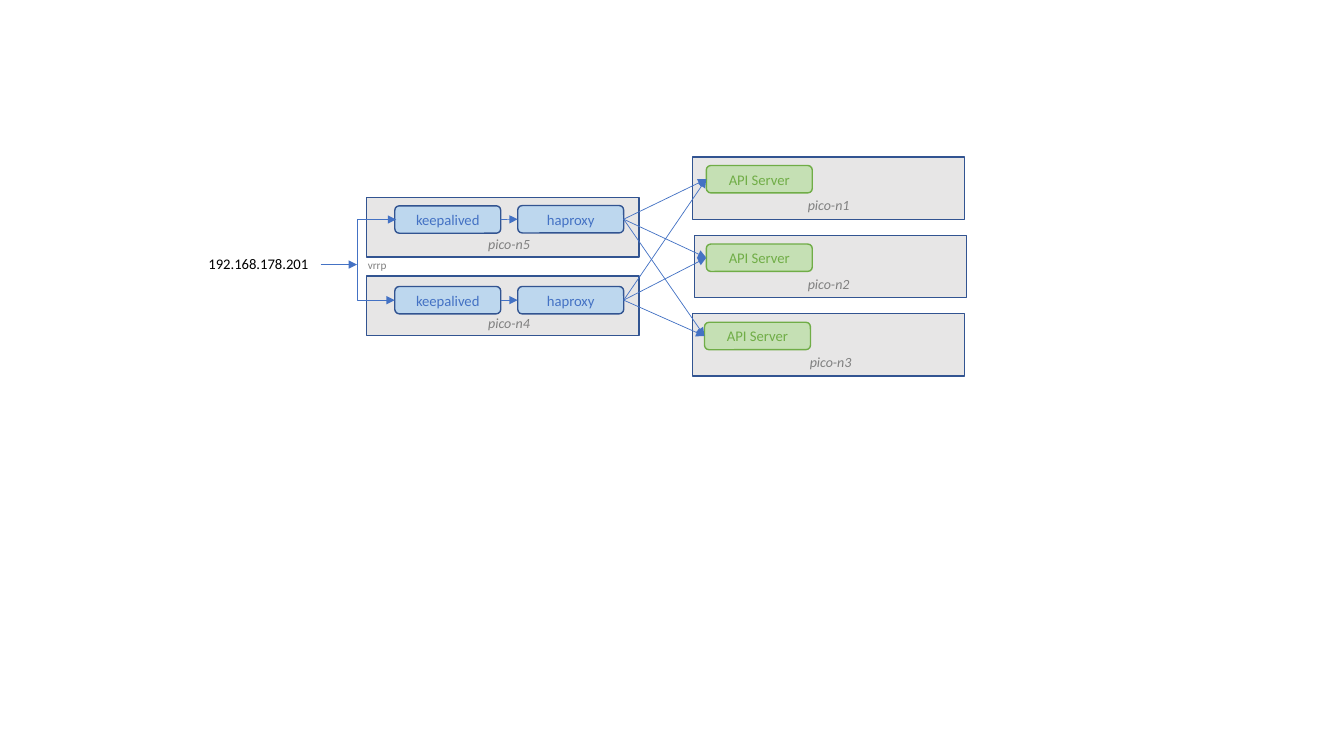
from pptx import Presentation, util as u
from pptx.dml.color import RGBColor
from pptx.enum import shapes as s, text as t
from pptx.oxml.ns import qn
from lxml import etree

THEME = dict(
    font="Calibri", panel="E7E6E6", edge="325491", wire="4472C4",
    blue=dict(fill="BDD7EE", line="325491", ink="4472C4"),
    green=dict(fill="C5E0B4", line="70AD47", ink="70AD47"),
    black="000000", gray="808080",
    pill=10.5, node=10, note=8, rim=1, thin=0.5)

PROXIES = [
    dict(name="pico-n5", box=(262, 141.2, 194.5, 42.5), tag=(335.5, 164.2),
         pills=[("keepalived", 282, 147), ("haproxy", 369.8, 146.8)]),
    dict(name="pico-n4", box=(262, 197.2, 194.5, 42.5), tag=(335.5, 221.2),
         pills=[("keepalived", 282, 204.6), ("haproxy", 369.8, 204.6)])]
SERVERS = [
    dict(name="pico-n1", box=(494.6, 112.2, 194.5, 44.6), tag=(563.8, 136.8),
         pills=[("API Server", 504.5, 118.2)]),
    dict(name="pico-n2", box=(496, 168, 194.5, 44.6), tag=(563.8, 193),
         pills=[("API Server", 504.5, 174.3)]),
    dict(name="pico-n3", box=(494.6, 223.9, 194.5, 44.6), tag=(565.2, 248.7),
         pills=[("API Server", 503.2, 230.2)])]
NOTES = [
    ("vrrp", (255.6, 180.7, 32.4, 17.3), "note", "gray"),
    ("192.168.178.201", (141.8, 178.6, 87.1, 20.9), "pill", "black")]
PILL = (75.7, 19.6)
TAG = (56.2, 19.4)
TRUNK = 255
ENTRY = (229, 189, TRUNK, 189)

LEFT, RIGHT = 1, 3

deck = Presentation()
deck.slide_width, deck.slide_height = u.Pt(960), u.Pt(540)
slide = deck.slides.add_slide(deck.slide_layouts[6])
parts = slide.shapes


def pts(vals):
    return [u.Pt(v) for v in vals]


def hue(code):
    return RGBColor.from_string(code)


def write(shape, words, size, ink, align, **frame):
    box = shape.text_frame
    for key, val in frame.items():
        setattr(box, key, val)
    para = box.paragraphs[0]
    para.alignment = align
    run = para.add_run()
    run.text = words
    look = dict(name=THEME["font"], size=u.Pt(size), italic=words.startswith("pico"))
    for key, val in look.items():
        setattr(run.font, key, val)
    run.font.color.rgb = hue(ink)


def block(kind, place, fill, line):
    shape = parts.add_shape(kind, *pts(place))
    shape.shadow.inherit = False
    shape.fill.solid()
    shape.fill.fore_color.rgb = hue(fill)
    shape.line.color.rgb = hue(line)
    shape.line.width = u.Pt(THEME["rim"])
    return shape


def label(words, place, size, ink, align, anchor):
    write(parts.add_textbox(*pts(place)), words, size, ink, align,
          word_wrap=False, vertical_anchor=anchor,
          auto_size=t.MSO_AUTO_SIZE.SHAPE_TO_FIT_TEXT)


def wire(ends, kind=s.MSO_CONNECTOR.STRAIGHT, tips=("tailEnd",)):
    line = parts.add_connector(kind, *pts(ends))
    line.line.color.rgb = hue(THEME["wire"])
    line.line.width = u.Pt(THEME["thin"])
    for tip in tips:
        etree.SubElement(line.line._get_or_add_ln(), qn("a:" + tip), type="triangle")
    etree.SubElement(line._element.spPr, qn("a:effectLst"))
    return line


def join(start, stop):
    line = wire((0, 0, 0, 0))
    line.begin_connect(start, RIGHT)
    line.end_connect(stop, LEFT)


def fill_node(node, tone):
    made = []
    for words, x, y in node["pills"]:
        pill = block(s.MSO_SHAPE.ROUNDED_RECTANGLE, (x, y, *PILL), tone["fill"], tone["line"])
        write(pill, words, THEME["pill"], tone["ink"], t.PP_ALIGN.CENTER,
              vertical_anchor=t.MSO_ANCHOR.MIDDLE)
        made.append(pill)
    label(node["name"], (*node["tag"], *TAG), THEME["node"], THEME["gray"],
          t.PP_ALIGN.CENTER, t.MSO_ANCHOR.BOTTOM)
    return made


for node in PROXIES + SERVERS:
    block(s.MSO_SHAPE.RECTANGLE, node["box"], THEME["panel"], THEME["edge"])
pairs = [fill_node(node, THEME["blue"]) for node in PROXIES]
apis = [fill_node(node, THEME["green"])[0] for node in SERVERS]

for keep, proxy in pairs:
    join(keep, proxy)
    for api in apis:
        join(proxy, api)

(_, x, top), (_, _, low) = [node["pills"][0] for node in PROXIES]
half = PILL[1] / 2
fork = wire((x + 1, top + half, x, low + half), s.MSO_CONNECTOR.ELBOW,
            ("headEnd", "tailEnd"))
guides = fork._element.spPr.find(qn("a:prstGeom")).get_or_add_avLst()
etree.SubElement(guides, qn("a:gd"), name="adj1", fmla=f"val {(x + 1 - TRUNK) * 100000}")

for words, place, size, ink in NOTES:
    label(words, place, THEME[size], THEME[ink], t.PP_ALIGN.LEFT, t.MSO_ANCHOR.TOP)
wire(ENTRY)

deck.save("out.pptx")
